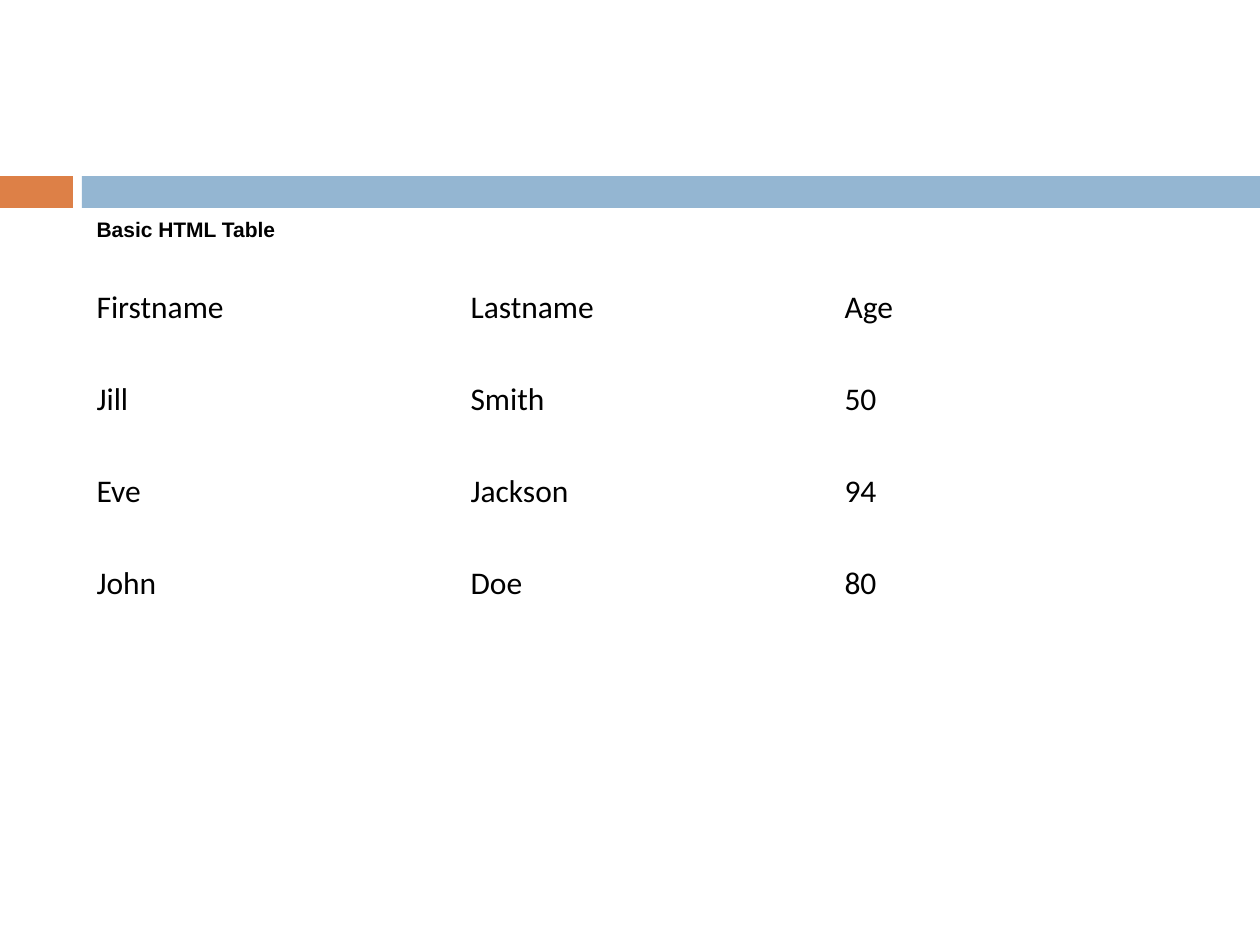
from pptx import Presentation
from pptx.dml.color import RGBColor
from pptx.enum.shapes import MSO_SHAPE as Shape
from pptx.enum.text import MSO_ANCHOR as Anchor, MSO_AUTO_SIZE as AutoSize, PP_ALIGN as Align
from pptx.util import Pt

BLACK = RGBColor(0x00, 0x00, 0x00)
ORANGE = RGBColor(0xDD, 0x80, 0x47)
BLUE = RGBColor(0x94, 0xB6, 0xD2)
EMU_PER_PX = 914400 / 126


def px(length):
    return round(length * EMU_PER_PX)


class SlideBuilder:
    heading_font = "Arial"
    body_font = "Calibri"

    def __init__(self, slide):
        self.slide = slide

    def style(self, paragraph, name, size, bold=False):
        paragraph.alignment = Align.LEFT
        font = paragraph.font
        font.name, font.size, font.bold = name, Pt(size), bold
        font.color.rgb = BLACK

    def bar(self, left, top, width, height, color):
        bar = self.slide.shapes.add_shape(
            Shape.RECTANGLE, px(left), px(top), px(width), px(height))
        bar.shadow.inherit = False
        bar.fill.solid()
        bar.fill.fore_color.rgb = color
        bar.line.fill.background()

    def title(self, text, left, top, width, height):
        title = self.slide.shapes.title
        title.left, title.top = px(left), px(top)
        title.width, title.height = px(width), px(height)
        frame = title.text_frame
        frame.text = text
        frame.word_wrap = True
        frame.auto_size = AutoSize.NONE
        frame.vertical_anchor = Anchor.TOP
        self.style(frame.paragraphs[0], self.heading_font, 12, bold=True)

    def table(self, rows, left, top, column_width, row_height):
        columns = len(rows[0])
        table = self.slide.shapes.add_table(
            len(rows), columns, px(left), px(top),
            px(column_width * columns), px(row_height * len(rows))).table
        table.first_row = False
        table.horz_banding = False
        for r, row in enumerate(rows):
            for c, text in enumerate(row):
                cell = table.cell(r, c)
                cell.text = text
                cell.fill.background()
                cell.vertical_anchor = Anchor.MIDDLE
                self.style(cell.text_frame.paragraphs[0], self.body_font, 18)


def main():
    presentation = Presentation()
    presentation.slide_width = px(1260)
    presentation.slide_height = px(945)
    title_only = presentation.slide_layouts[5]
    builder = SlideBuilder(presentation.slides.add_slide(title_only))

    builder.bar(0, 176, 73, 32, ORANGE)
    builder.bar(82, 176, 1178, 32, BLUE)
    builder.title("Basic HTML Table", 84, 210, 955, 77)

    people = [
        ("Firstname", "Lastname", "Age"),
        ("Jill", "Smith", "50"),
        ("Eve", "Jackson", "94"),
        ("John", "Doe", "80"),
    ]
    builder.table(people, left=84, top=262, column_width=374, row_height=92)
    presentation.save("out.pptx")


if __name__ == "__main__":
    main()
